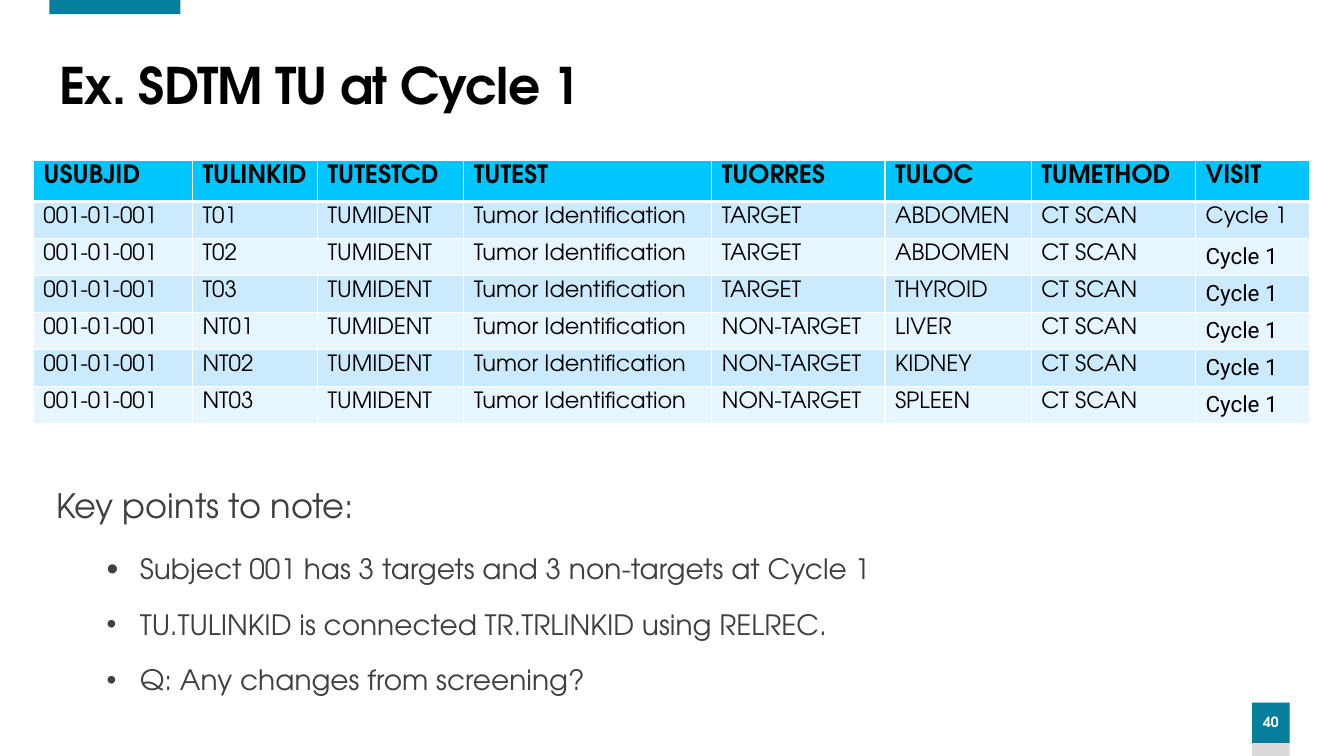
from dataclasses import dataclass

from lxml.etree import SubElement as Sub
from pptx import Presentation as Deck
from pptx.dml.color import RGBColor as Rgb
from pptx.enum.shapes import MSO_SHAPE as Shape
from pptx.enum.text import MSO_ANCHOR as Anchor, PP_ALIGN as Align
from pptx.oxml.ns import qn
from pptx.util import Inches, Pt


@dataclass(frozen=True)
class Theme:
    face: str = "TeX Gyre Adventor"
    plain: str = "Roboto"
    teal: str = "067F9C"
    gray: str = "D9D9D9"
    white: str = "FFFFFF"
    black: str = "000000"
    ink: str = "404040"
    sky: str = "01C6FD"
    bands: tuple = ("CCEAFE", "E7F5FF")
    title: int = 36
    lead: int = 24
    point: int = 20
    head: int = 18
    cell: int = 16
    page: int = 10


def write(para, text, *, size, color, face, bold=False, line=None,
          before=None, after=None, align=None, track=None, bullet=None):
    props = para._p.get_or_add_pPr()
    if bullet:
        props.set("marL", str(Inches(0.83)))
        props.set("indent", str(-Inches(0.33)))
        Sub(props, qn("a:buSzPct"), val=str(bullet * 1000))
        Sub(props, qn("a:buFont"), typeface="Arial")
        Sub(props, qn("a:buChar"), char="•")
    para.line_spacing = line
    para.space_before = before
    para.space_after = after
    para.alignment = align
    run = para.add_run()
    run.text = text
    font = run.font
    font.name, font.size, font.bold = face, Pt(size), bold
    font.color.rgb = Rgb.from_string(color)
    if track:
        run._r.get_or_add_rPr().set("spc", str(track))


class Page:
    def __init__(self, deck, theme):
        self.theme = theme
        self.wide = deck.slide_width / 100
        self.high = deck.slide_height / 100
        self.slide = deck.slides.add_slide(deck.slide_layouts[6])

    def area(self, left, top, width, height):
        return (round(left * self.wide), round(top * self.high),
                round(width * self.wide), round(height * self.high))

    def block(self, area, color):
        box = self.slide.shapes.add_shape(Shape.RECTANGLE, *self.area(*area))
        box.shadow.inherit = False
        box.fill.solid()
        box.fill.fore_color.rgb = Rgb.from_string(color)
        box.line.fill.background()
        return box

    def badge(self, area, text):
        frame = self.block(area, self.theme.teal).text_frame
        frame.margin_left = frame.margin_right = 0
        frame.vertical_anchor = Anchor.MIDDLE
        write(frame.paragraphs[0], text, size=self.theme.page, bold=True,
              color=self.theme.white, face=self.theme.face, line=0.9,
              align=Align.CENTER)

    def text(self, area, items, anchor=Anchor.TOP):
        frame = self.slide.shapes.add_textbox(*self.area(*area)).text_frame
        frame.word_wrap = True
        frame.vertical_anchor = anchor
        for index, (text, form) in enumerate(items):
            para = frame.add_paragraph() if index else frame.paragraphs[0]
            write(para, text, face=self.theme.face, line=0.9, **form)

    def edge(self, cell, sides):
        props = cell._tc.get_or_add_tcPr()
        for side, width in sides.items():
            line = Sub(props, qn("a:ln" + side), w=str(Pt(width)))
            fill = Sub(line, qn("a:solidFill"))
            Sub(fill, qn("a:srgbClr"), val=self.theme.white)

    def cell(self, cell, text, row, last):
        theme = self.theme
        head = row == 0
        plain = last and row > 1
        self.edge(cell, {"L": 1, "R": 1, "T": 3 if row == 1 else 1,
                         "B": 3 if head else 1})
        cell.fill.solid()
        color = theme.sky if head else theme.bands[(row - 1) % 2]
        cell.fill.fore_color.rgb = Rgb.from_string(color)
        write(cell.text_frame.paragraphs[0], text, color=theme.black,
              size=theme.head if head else theme.cell, bold=head,
              face=theme.plain if plain else theme.face)

    def table(self, area, data, cols, first, rest):
        place = self.area(*area)
        frame = self.slide.shapes.add_table(len(data), len(cols), *place)
        grid = frame.table
        grid.horz_banding = False
        for col, width in zip(grid.columns, cols):
            col.width = round(width * self.wide)
        for row, texts in enumerate(data):
            grid.rows[row].height = round((rest if row else first) * self.high)
            for col, text in enumerate(texts):
                self.cell(grid.cell(row, col), text, row, col == len(cols) - 1)
        frame.height = place[3]


HEADS = ("USUBJID", "TULINKID", "TUTESTCD", "TUTEST",
         "TUORRES", "TULOC", "TUMETHOD", "VISIT")
TUMORS = (("T01", "TARGET", "ABDOMEN"), ("T02", "TARGET", "ABDOMEN"),
          ("T03", "TARGET", "THYROID"), ("NT01", "NON-TARGET", "LIVER"),
          ("NT02", "NON-TARGET", "KIDNEY"), ("NT03", "NON-TARGET", "SPLEEN"))
WIDTHS = (11.85, 9.3, 10.88, 18.45, 12.9, 10.88, 12.23, 8.48)


def main():
    deck = Deck()
    deck.slide_width, deck.slide_height = Inches(13.33), Inches(7.5)
    theme = Theme()
    page = Page(deck, theme)

    page.block((93.17, 92.93, 2.78, 7.07), theme.gray)
    page.badge((93.17, 92.93, 2.78, 5.33), "40")
    page.block((3.68, 0, 9.75, 1.87), theme.teal)

    title = dict(size=theme.title, color=theme.black, bold=True, track=-60)
    page.text((3.68, 7.33, 91.67, 8.67),
              [("Ex. SDTM TU at Cycle 1", title)], Anchor.MIDDLE)

    lead = dict(size=theme.lead, color=theme.ink, after=Pt(12))
    point = dict(lead, size=theme.point, before=Pt(6), bullet=100)
    page.text((3.45, 64.13, 63.47, 29.07), [
        ("Key points to note:", lead),
        ("Subject 001 has 3 targets and 3 non-targets at Cycle 1",
         dict(point, before=Pt(9), bullet=120)),
        ("TU.TULINKID is connected TR.TRLINKID using RELREC.", point),
        ("Q: Any changes from screening?", point),
    ])

    rows = [("001-01-001", link, "TUMIDENT", "Tumor Identification",
             kind, site, "CT SCAN", "Cycle 1") for link, kind, site in TUMORS]
    page.table((2.48, 21.2, 94.97, 34.8), [HEADS, *rows], WIDTHS, 5.47, 4)

    deck.save("out.pptx")


if __name__ == "__main__":
    main()
